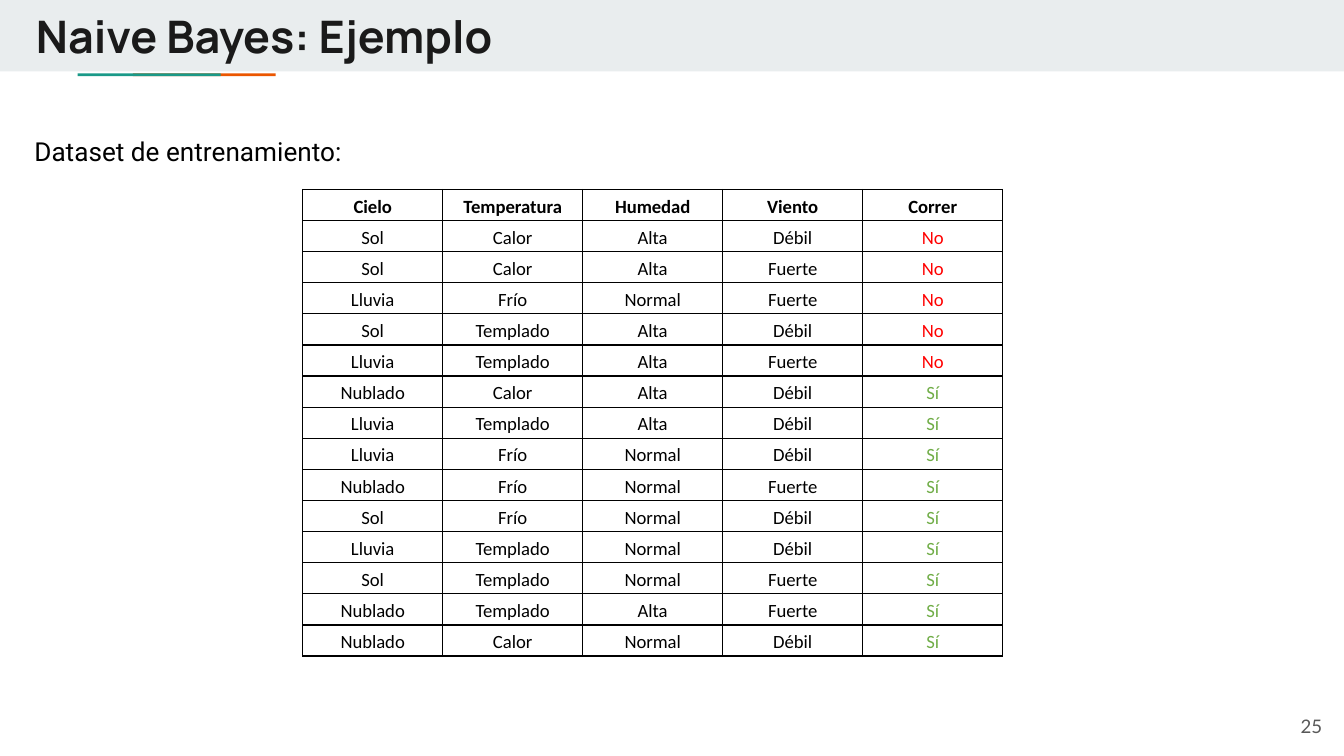
from lxml.etree import SubElement as Sub
from pptx import Presentation
from pptx.dml.color import RGBColor as RGB
from pptx.enum.shapes import MSO_SHAPE as Kind
from pptx.enum.text import MSO_ANCHOR as Anchor, PP_ALIGN as Align
from pptx.oxml.ns import qn
from pptx.util import Cm, Pt

BLACK = RGB(0x00, 0x00, 0x00)
INK = RGB(0x1A, 0x1A, 0x1A)
GRAY = RGB(0x59, 0x59, 0x59)
BAND = RGB(0xE9, 0xED, 0xEE)
ORANGE = RGB(0xEB, 0x56, 0x00)
TEAL = RGB(0x1A, 0x99, 0x88)
RED = RGB(0xFF, 0x00, 0x00)
GREEN = RGB(0x70, 0xAD, 0x47)

HEAD = ("Cielo", "Temperatura", "Humedad", "Viento", "Correr")
DAYS = (
    ("Sol", "Calor", "Alta", "Débil", "No"),
    ("Sol", "Calor", "Alta", "Fuerte", "No"),
    ("Lluvia", "Frío", "Normal", "Fuerte", "No"),
    ("Sol", "Templado", "Alta", "Débil", "No"),
    ("Lluvia", "Templado", "Alta", "Fuerte", "No"),
    ("Nublado", "Calor", "Alta", "Débil", "Sí"),
    ("Lluvia", "Templado", "Alta", "Débil", "Sí"),
    ("Lluvia", "Frío", "Normal", "Débil", "Sí"),
    ("Nublado", "Frío", "Normal", "Fuerte", "Sí"),
    ("Sol", "Frío", "Normal", "Débil", "Sí"),
    ("Lluvia", "Templado", "Normal", "Débil", "Sí"),
    ("Sol", "Templado", "Normal", "Fuerte", "Sí"),
    ("Nublado", "Templado", "Alta", "Fuerte", "Sí"),
    ("Nublado", "Calor", "Normal", "Débil", "Sí"),
)
TONES = {"No": RED, "Sí": GREEN}


def style(frame, text, font, size, color, bold=False, align=Align.LEFT):
    """Write one paragraph into a text frame and format it."""
    frame.text = text
    par = frame.paragraphs[0]
    par.alignment = align
    face = par.runs[0].font
    face.name, face.size, face.bold = font, Pt(size), bold
    face.color.rgb = color
    return par


def add_bar(slide, x, y, w, h, color):
    """Add a plain filled rectangle."""
    bar = slide.shapes.add_shape(Kind.RECTANGLE, Cm(x), Cm(y), Cm(w), Cm(h))
    bar.shadow.inherit = False
    bar.fill.solid()
    bar.fill.fore_color.rgb = color
    bar.line.fill.background()


def add_label(slide, x, y, w, h, text, font, size, color,
              bold=False, align=Align.LEFT, anchor=Anchor.TOP):
    """Add a wrapped text box with even insets."""
    frame = slide.shapes.add_textbox(Cm(x), Cm(y), Cm(w), Cm(h)).text_frame
    frame.word_wrap = True
    frame.vertical_anchor = anchor
    frame.margin_left = frame.margin_right = Cm(0.25)
    frame.margin_top = frame.margin_bottom = Cm(0.25)
    style(frame, text, font, size, color, bold, align)


def add_header(slide, x, y, w, h, title):
    """Add the title band with its two-colour underline."""
    add_bar(slide, x, y, w, h, BAND)
    for left, color in ((2.51, ORANGE), (1.47, TEAL)):
        add_bar(slide, x + left, y + h + 0.04, 2.7, 0.05, color)
    add_label(slide, x + 0.43, y - 0.08, w - 4.04, h + 0.15,
              title, "Manrope", 24, INK, bold=True)


def add_edges(cell):
    """Draw a thin black line on each side of a cell."""
    props = cell._tc.get_or_add_tcPr()
    for side in ("a:lnL", "a:lnR", "a:lnT", "a:lnB"):
        line = Sub(props, qn(side), w=str(Pt(0.75)))
        fill = Sub(line, qn("a:solidFill"))
        Sub(fill, qn("a:srgbClr"), val=str(BLACK))


def add_data(slide, x, y, w, h, head, rows):
    """Add the training data as a ruled table."""
    lines = (head, *rows)
    table = slide.shapes.add_table(
        len(lines), len(head), Cm(x), Cm(y), Cm(w), Cm(h)).table
    table.horz_banding = False
    for col in table.columns:
        col.width = Cm(w / len(head))
    for r, line in enumerate(lines):
        table.rows[r].height = Cm(h / len(lines))
        for c, text in enumerate(line):
            cell = table.cell(r, c)
            cell.vertical_anchor = Anchor.BOTTOM
            cell.margin_left = cell.margin_right = Cm(0.08)
            cell.margin_top = cell.margin_bottom = Cm(0.05)
            par = style(cell.text_frame, text, "Calibri", 10,
                        TONES.get(text, BLACK), r == 0, Align.CENTER)
            par.line_spacing = 1.15
            add_edges(cell)
            cell.fill.background()


def main():
    """Build and save the slide."""
    deck = Presentation()
    deck.slide_width, deck.slide_height = Cm(25.4), Cm(14.29)
    slide = deck.slides.add_slide(deck.slide_layouts[6])
    add_header(slide, 0, 0, 25.4, 1.35, "Naive Bayes: Ejemplo")
    add_label(slide, 0.4, 2.31, 24.28, 0.66,
              "Dataset de entrenamiento:", "Roboto", 14, BLACK)
    add_label(slide, 23.72, 13.18, 1.52, 1.09, "25", "Lato", 10, GRAY,
              align=Align.RIGHT, anchor=Anchor.MIDDLE)
    add_data(slide, 5.72, 3.58, 13.23, 8.33, HEAD, DAYS)
    deck.save("out.pptx")


if __name__ == "__main__":
    main()
